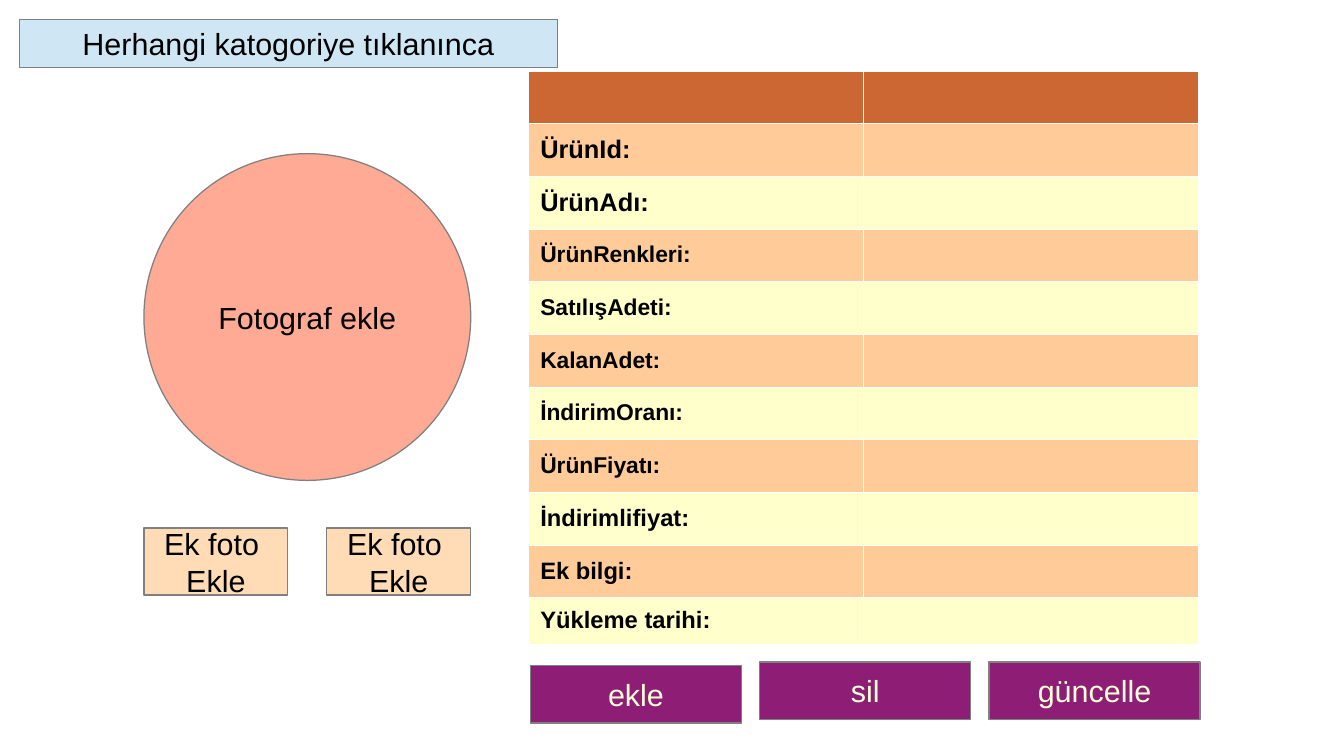
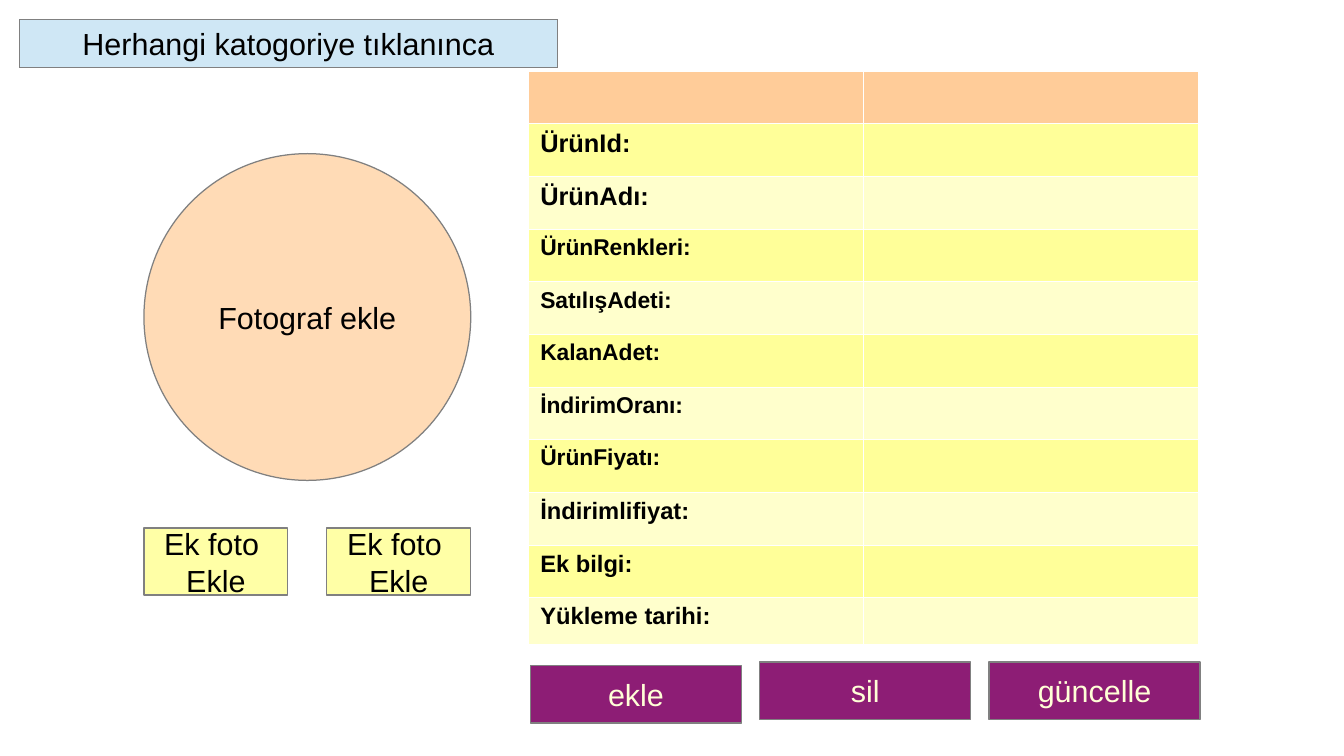
from lxml import etree
from pptx import Presentation
from pptx.dml.color import RGBColor
from pptx.enum.shapes import MSO_SHAPE
from pptx.enum.text import MSO_ANCHOR, MSO_AUTO_SIZE, PP_ALIGN
from pptx.oxml.ns import qn
from pptx.util import Inches, Pt

OVAL, RECT = MSO_SHAPE.OVAL, MSO_SHAPE.RECTANGLE
MIDDLE, TOP = MSO_ANCHOR.MIDDLE, MSO_ANCHOR.TOP
CENTER, LEFT = PP_ALIGN.CENTER, PP_ALIGN.LEFT
NO_FIT = MSO_AUTO_SIZE.NONE
TITLE_ONLY = 5

FONT = "Arial"
COLORS = {
    "text": "000000", "outline": "808080", "border": "FFFFFF",
    "title": "CFE7F5", "button": "8D1D75", "button_text": "FFFFD7",
    "salmon": "FFAA95", "peach": "FFDBB6", "lemon": "FFFFA6",
    "rust": "CC6633", "orange": "FFCC99", "yellow": "FFFF99", "cream": "FFFFCC",
}
THEMES = [
    {"photo": "salmon", "extra": "peach", "header": "rust",
     "bands": ("orange", "cream"), "anchor": MIDDLE},
    {"photo": "peach", "extra": "lemon", "header": "orange",
     "bands": ("yellow", "cream"), "anchor": TOP},
]
FIELDS = [
    ("ÜrünId:", 15), ("ÜrünAdı:", 15), ("ÜrünRenkleri:", 13.5),
    ("SatılışAdeti:", 13.5), ("KalanAdet:", 13.5), ("İndirimOranı:", 13.5),
    ("ÜrünFiyatı:", 13.5), ("İndirimlifiyat:", 14), ("Ek bilgi:", 14),
    ("Yükleme tarihi:", 14),
]
BUTTONS = [("ekle", 0.03), ("sil", 0), ("güncelle", 0)]  # label, drop


def rgb(name):
    return RGBColor.from_string(COLORS[name])


def write(tf, text, size=18, color="text", bold=False, align=CENTER):
    for i, line in enumerate(text.split("\n")):
        p = tf.add_paragraph() if i else tf.paragraphs[0]
        p.alignment = align
        r = p.add_run()
        r.text = line
        r.font.name, r.font.size, r.font.bold = FONT, Pt(size), bold
        r.font.color.rgb = rgb(color)


def style_shape(sp, text, fill, color="text"):
    sp.fill.solid()
    sp.fill.fore_color.rgb = rgb(fill)
    sp.line.color.rgb = rgb("outline")
    sp.line.width = Pt(0)
    sp.shadow.inherit = False
    tf = sp.text_frame
    tf.word_wrap = False
    tf.auto_size = NO_FIT
    tf.vertical_anchor = MIDDLE
    write(tf, text, color=color)


def add_box(slide, kind, x, y, w, h, text, fill, color="text"):
    sp = slide.shapes.add_shape(kind, Inches(x), Inches(y), Inches(w), Inches(h))
    style_shape(sp, text, fill, color)


def add_title(slide, x, y, w, h):
    sp = slide.shapes.title
    sp.left, sp.top, sp.width, sp.height = map(Inches, (x, y, w, h))
    # Oval outline for the title placeholder
    geom = etree.SubElement(sp.element.spPr, qn("a:prstGeom"), prst="ellipse")
    etree.SubElement(geom, qn("a:avLst"))
    style_shape(sp, "Herhangi katogoriye tıklanınca", "title")


def add_photos(slide, x, y, w, theme):
    add_box(slide, OVAL, x, y, w, w, "Fotograf ekle", theme["photo"])
    box_w, box_h = 1.18, 0.55
    for left in (x, x + w - box_w):
        add_box(slide, RECT, left, y + w + 0.39, box_w, box_h,
                "Ek foto \nEkle", theme["extra"])


def style_cell(cell, fill, anchor):
    tc_pr = cell._tc.get_or_add_tcPr()
    for side in ("lnL", "lnR", "lnT", "lnB"):
        ln = etree.SubElement(tc_pr, qn(f"a:{side}"), w=str(Pt(0.06)))
        solid = etree.SubElement(ln, qn("a:solidFill"))
        etree.SubElement(solid, qn("a:srgbClr"), val=COLORS["border"])
    cell.fill.solid()
    cell.fill.fore_color.rgb = rgb(fill)
    cell.vertical_anchor = anchor
    cell.margin_left = cell.margin_right = Inches(0.1)
    cell.margin_top = cell.margin_bottom = Inches(0.05)


def add_product_table(slide, x, y, w, h, theme):
    rows, last_h = [("", 14)] + FIELDS, 0.38
    table = slide.shapes.add_table(len(rows), 2, Inches(x), Inches(y),
                                   Inches(w), Inches(h)).table
    table.first_row = table.horz_banding = False
    for col in table.columns:
        col.width = Inches(w / 2)
    for i, (label, size) in enumerate(rows):
        is_last = i == len(rows) - 1
        table.rows[i].height = Inches(
            last_h if is_last else (h - last_h) / (len(rows) - 1))
        fill = theme["bands"][(i - 1) % 2] if i else theme["header"]
        for cell, text in zip(table.rows[i].cells, (label, "")):
            style_cell(cell, fill, theme["anchor"])
            if text:
                write(cell.text_frame, text, size=size, bold=True, align=LEFT)
            else:  # keeps an empty cell from stretching its row
                p = cell.text_frame.paragraphs[0]
                etree.SubElement(p._p, qn("a:endParaRPr"), sz="1400")


def add_buttons(slide, x, y, w, h):
    button_w = 1.73
    step = (w - button_w) / (len(BUTTONS) - 1)
    for i, (label, drop) in enumerate(BUTTONS):
        add_box(slide, RECT, x + i * step, y + drop, button_w, h,
                label, "button", "button_text")


def add_product_slide(prs, theme):
    slide = prs.slides.add_slide(prs.slide_layouts[TITLE_ONLY])
    add_title(slide, 0.16, 0.16, 4.41, 0.39)
    add_photos(slide, 1.18, 1.26, 2.68, theme)
    add_buttons(slide, 4.35, 5.43, 5.49, 0.47)
    add_product_table(slide, 4.33, 0.58, 5.49, 4.7, theme)


def main():
    prs = Presentation()
    prs.slide_width, prs.slide_height = Inches(11.02), Inches(6.2)
    for theme in THEMES:
        add_product_slide(prs, theme)
    prs.save("out.pptx")


if __name__ == "__main__":
    main()
